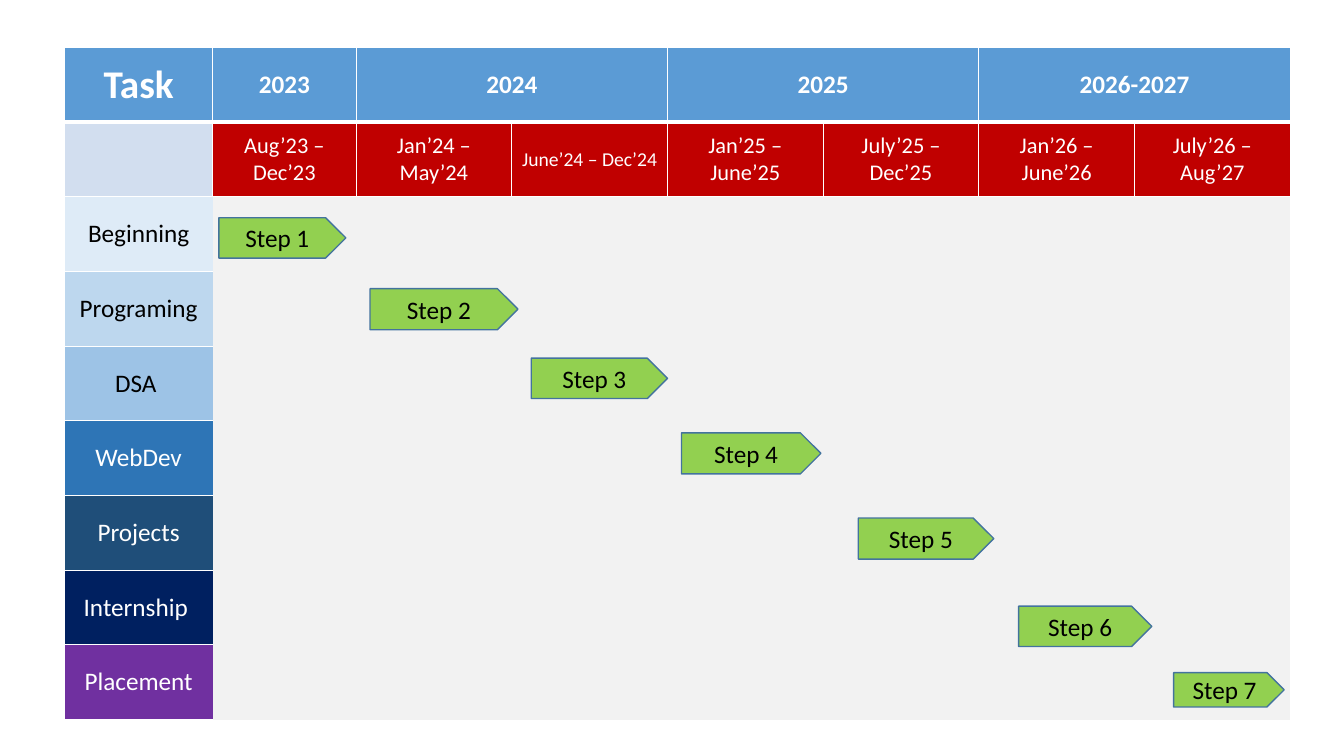
import pptx
import pptx.dml.color
import pptx.enum.shapes
import pptx.enum.text
import pptx.oxml
import pptx.oxml.ns
import pptx.util
from lxml import etree

SLIDE_WIDTH, SLIDE_HEIGHT = 13.33, 7.5
ROADMAP_BOX = (0.64, 0.47, 12.16, 6.67)
TASK_WIDTH, FIRST_WIDTH = 1.47, 0.65
PERIOD_COLUMNS, ROWS = 14, 9
NO_GRID_STYLE = "{2D5ABB26-0587-4C30-8999-92F81FD0307C}"
WHITE, BLACK = "FFFFFF", "000000"
HEADER_BORDERS = {"L": 1, "R": 1, "T": 1, "B": 3}
PERIOD_BORDERS = {"L": 1, "R": 1, "T": 1}
TASK_BORDERS = {"L": 1, "T": 1, "B": 1}

YEARS = [("2023", 2), ("2024", 4), ("2025", 4), ("2026-2027", 4)]
PERIODS = [
    ("Aug’23 – Dec’23", 16),
    ("Jan’24 – May’24", 16),
    ("June’24 – Dec’24", 14),
    ("Jan’25 – June’25", 16),
    ("July’25 – Dec’25", 16),
    ("Jan’26 – June’26", 16),
    ("July’26 – Aug’27", 16),
]
TASKS = [
    ("Beginning", "DEEBF7", BLACK),
    ("Programing", "BDD7EE", BLACK),
    ("DSA ", "9DC3E6", BLACK),
    ("WebDev", "2E75B6", WHITE),
    ("Projects", "1F4E79", WHITE),
    ("Internship ", "002060", WHITE),
    ("Placement", "7030A0", WHITE),
]
# start column, top row, columns wide, rows high
STEPS = [
    (0.08, 2.28, 1.63, 0.54),
    (2.02, 3.23, 1.9, 0.55),
    (4.09, 4.16, 1.75, 0.54),
    (6.02, 5.16, 1.79, 0.55),
    (8.29, 6.3, 1.74, 0.55),
    (10.35, 7.48, 1.71, 0.54),
    (12.34, 8.37, 1.42, 0.46),
]


def color(value):
    return pptx.dml.color.RGBColor.from_string(value)


def inches(*lengths):
    return [pptx.util.Inches(length) for length in lengths]


def write(text_frame, words, size, ink, bold=False):
    text_frame.text = words
    paragraph = text_frame.paragraphs[0]
    paragraph.alignment = pptx.enum.text.PP_ALIGN.CENTER
    font = paragraph.runs[0].font
    font.name = "Calibri"
    font.size = pptx.util.Pt(size)
    font.bold = bold
    font.color.rgb = color(ink)


def paint(cell, fill, borders):
    properties = cell._tc.get_or_add_tcPr()
    for side, width in borders.items():
        line = etree.SubElement(
            properties, pptx.oxml.ns.qn(f"a:ln{side}"), w=str(pptx.util.Pt(width))
        )
        solid = etree.SubElement(line, pptx.oxml.ns.qn("a:solidFill"))
        etree.SubElement(solid, pptx.oxml.ns.qn("a:srgbClr"), val=WHITE)
    cell.fill.solid()
    cell.fill.fore_color.rgb = color(fill)
    cell.vertical_anchor = pptx.enum.text.MSO_ANCHOR.MIDDLE


def add_band(table, row, column, span, words, size, fill, borders, bold=False):
    for offset in range(span):
        paint(table.cell(row, column + offset), fill, borders)
    heading = table.cell(row, column)
    if span > 1:
        heading.merge(table.cell(row, column + span - 1))
    write(heading.text_frame, words, size, WHITE, bold)


def add_schedule(slide, box, period_width, row_height):
    frame = slide.shapes.add_table(ROWS, PERIOD_COLUMNS + 1, *inches(*box))
    for style in frame.element.iter(pptx.oxml.ns.qn("a:tableStyleId")):
        style.text = NO_GRID_STYLE
    table = frame.table
    table.horz_banding = False
    widths = [TASK_WIDTH, FIRST_WIDTH] + [period_width] * (PERIOD_COLUMNS - 1)
    for column, width in zip(table.columns, widths):
        column.width = pptx.util.Inches(width)
    for row in table.rows:
        row.height = pptx.util.Inches(row_height)

    add_band(table, 0, 0, 1, " Task ", 28, "5B9BD5", HEADER_BORDERS, True)
    column = 1
    for year, span in YEARS:
        add_band(table, 0, column, span, year, 18, "5B9BD5", HEADER_BORDERS, True)
        column += span

    paint(table.cell(1, 0), "D2DEEF", dict.fromkeys("LRTB", 1))
    for index, (period, size) in enumerate(PERIODS):
        add_band(table, 1, 1 + 2 * index, 2, period, size, "C00000", PERIOD_BORDERS)

    for row, (task, fill, ink) in enumerate(TASKS, start=2):
        paint(table.cell(row, 0), fill, TASK_BORDERS)
        write(table.cell(row, 0).text_frame, task, 18, ink)
        for column in range(1, PERIOD_COLUMNS + 1):
            paint(table.cell(row, column), "F2F2F2", {})


def add_steps(slide, left, top, period_width, row_height):
    for number, (start, row, columns, rows) in enumerate(STEPS, start=1):
        step = slide.shapes.add_shape(
            pptx.enum.shapes.MSO_SHAPE.PENTAGON,
            *inches(
                left + start * period_width,
                top + row * row_height,
                columns * period_width,
                rows * row_height,
            ),
        )
        step.shadow.inherit = False
        step.fill.solid()
        step.fill.fore_color.rgb = color("92D050")
        step.line.color.rgb = color("43739E")
        step.line.width = pptx.util.Pt(1)
        step.text_frame.vertical_anchor = pptx.enum.text.MSO_ANCHOR.MIDDLE
        write(step.text_frame, f"Step {number}", 18, BLACK)


def add_roadmap(slide, box):
    left, top, width, height = box
    period_width = (width - TASK_WIDTH - FIRST_WIDTH) / (PERIOD_COLUMNS - 1)
    row_height = height / ROWS
    add_schedule(slide, box, period_width, row_height)
    add_steps(slide, left + TASK_WIDTH, top, period_width, row_height)


def main():
    presentation = pptx.Presentation()
    presentation.slide_width, presentation.slide_height = inches(
        SLIDE_WIDTH, SLIDE_HEIGHT
    )
    slide = presentation.slides.add_slide(presentation.slide_layouts[6])
    add_roadmap(slide, ROADMAP_BOX)
    presentation.save("out.pptx")


if __name__ == "__main__":
    main()
